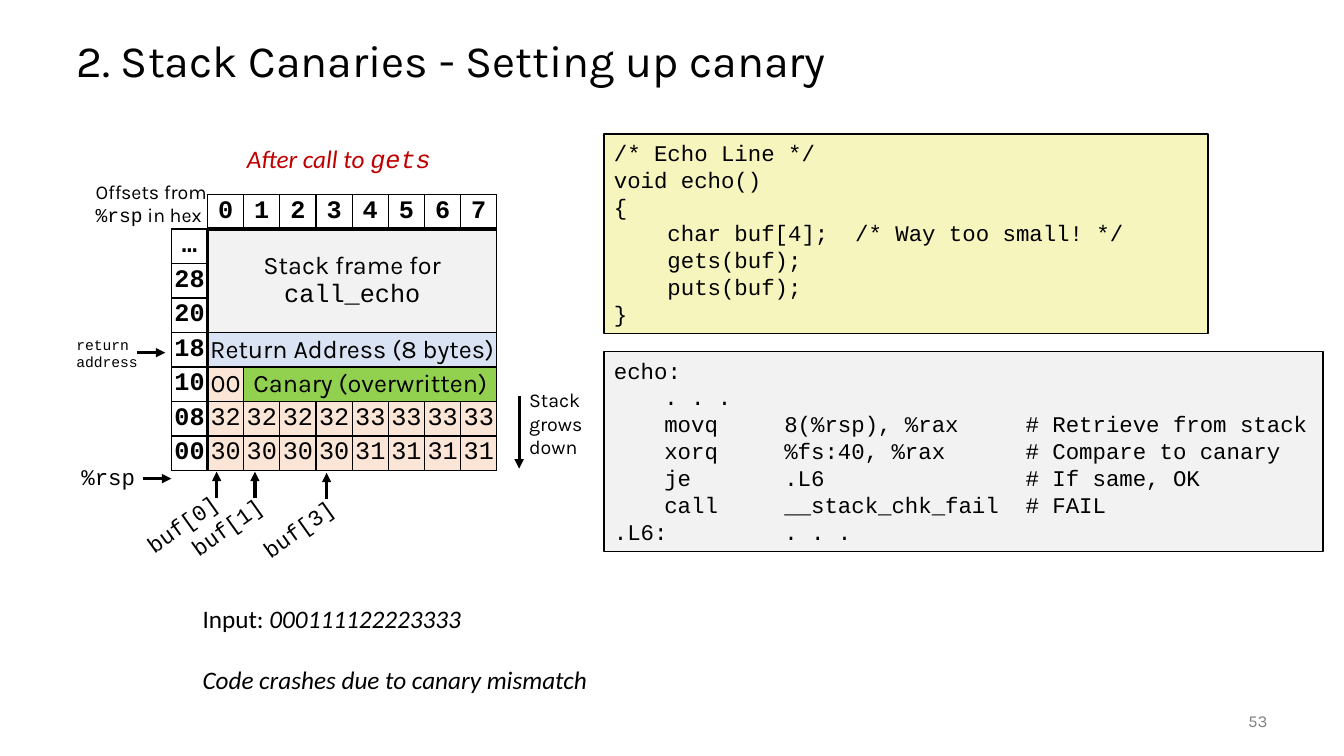
import pptx
import pptx.dml.color
import pptx.enum.shapes
import pptx.enum.text
import pptx.util
from lxml import etree
from pptx.oxml.ns import qn

SLIDE_W, SLIDE_H = 13.33, 7.5
STACK_LEFT, STACK_TOP, STACK_W, STACK_H = 1.7, 1.93, 3.23, 2.74
SANS, MONO, BODY = "Karla", "Courier New", "Calibri"
BLACK, GREY, RED = "000000", "808080", "C00000"
PALE, BLUE, GREEN, PEACH, YELLOW = "F2F2F2", "DAE3F3", "92D050", "FBE5D6", "F6F5BD"
TILT = 324.6

ECHO_C = """/* Echo Line */
void echo()
{
    char buf[4];  /* Way too small! */
    gets(buf);
    puts(buf);
}"""
ECHO_ASM = """echo:
\t. . .
\tmovq\t8(%rsp), %rax     # Retrieve from stack
\txorq\t%fs:40, %rax      # Compare to canary
\tje\t.L6               # If same, OK
\tcall\t__stack_chk_fail  # FAIL
.L6:\t. . ."""
ASM_TABS = (0.5, 1.69)

# Stack cells: text runs (text, font), fill, rows spanned, columns spanned
FRAME = ([("Stack frame for ", SANS), ("call_echo", MONO)], PALE, 3, 8)
RETURN = ([("Return Address (8 bytes)", SANS)], BLUE, 1, 8)
ZERO = ([("00", SANS)], PEACH, 1, 1)
CANARY = ([("Canary (overwritten)", SANS)], GREEN, 1, 7)


def input_bytes(values):
    return [([(value, MONO)], PEACH, 1, 1) for value in values.split()]


STACK_ROWS = [
    ("…", [FRAME]),
    ("28", []),
    ("20", []),
    ("18", [RETURN]),
    ("10", [ZERO, CANARY]),
    ("08", input_bytes("32 32 32 32 33 33 33 33")),
    ("00", input_bytes("30 30 30 30 31 31 31 31")),
]
BYTES = 8
COL, ROW = STACK_W / (BYTES + 1), STACK_H / (len(STACK_ROWS) + 1)

# Stack labels: left, top, width, height in stack columns and rows
LABELS = [
    ((-2.76, 7.65, 2.06, 1.08), [[("%rsp", MONO)]], 16, False, 0),
    ((-1.09, 8.99, 2.81, 1.08), [[("buf[0]", MONO)]], 16, False, TILT),
    ((0.14, 9.08, 2.81, 1.08), [[("buf[1]", MONO)]], 16, False, TILT),
    ((2.12, 9.14, 2.81, 1.08), [[("buf[3]", MONO)]], 16, False, TILT),
    ((-2.9, 3.94, 2.28, 1.31), [[("return", MONO)], [("address", MONO)]], 10.5, False, 0),
    ((-2.37, -0.58, 4.93, 1.66),
     [[("Offsets from ", SANS), ("%rsp", MONO), (" in hex", SANS)]], 14, True, 0),
    ((9.61, 5.46, 2.2, 2.36), [[("Stack grows down", SANS)]], 14, True, 0),
]
# Arrows: start and end in stack columns and rows
ARROWS = [
    (-0.78, 8.23, 0, 8.23),
    (-0.95, 4.58, -0.17, 4.58),
    (1.25, 8.79, 1.25, 8.03),
    (2.31, 8.79, 2.31, 8.03),
    (4.29, 8.82, 4.29, 8.06),
    (9.61, 5.84, 9.61, 7.94),
]


def color(value):
    return pptx.dml.color.RGBColor.from_string(value)


def share(left, top, width, height):
    """Place a box given in percent of the slide."""
    return [pptx.util.Inches(part * size / 100) for part, size in
            zip((left, top, width, height), (SLIDE_W, SLIDE_H) * 2)]


def point(column, row):
    return (pptx.util.Inches(STACK_LEFT + column * COL),
            pptx.util.Inches(STACK_TOP + row * ROW))


def grid(left, top, columns, rows):
    return *point(left, top), pptx.util.Inches(columns * COL), pptx.util.Inches(rows * ROW)


def write(frame, paragraphs, size, ink=BLACK, bold=False, align=None, tabs=()):
    """Fill a frame; each paragraph is a list of runs (text, font[, italic])."""
    for index, runs in enumerate(paragraphs):
        paragraph = frame.add_paragraph() if index else frame.paragraphs[0]
        paragraph.alignment = align or pptx.enum.text.PP_ALIGN.LEFT
        if tabs:
            stops = etree.SubElement(paragraph._p.get_or_add_pPr(), qn("a:tabLst"))
            for stop in tabs:
                etree.SubElement(stops, qn("a:tab"), pos=str(pptx.util.Inches(stop)), algn="l")
        for text, *_ in runs:
            paragraph.add_run().text = text
        holders = [paragraph] if len(runs) == 1 else paragraph.runs
        for holder, (_, name, *italic) in zip(holders, runs):
            font = holder.font
            font.name, font.size, font.bold = name, pptx.util.Pt(size), bold
            font.italic = bool(italic and italic[0])
            font.color.rgb = color(ink)


def add_text(slide, box, paragraphs, size, wrap=True, grow=True, **style):
    frame_box = slide.shapes.add_textbox(*box)
    frame = frame_box.text_frame
    frame.word_wrap = wrap
    if grow:
        frame.auto_size = pptx.enum.text.MSO_AUTO_SIZE.SHAPE_TO_FIT_TEXT
    else:
        frame.vertical_anchor = pptx.enum.text.MSO_ANCHOR.MIDDLE
    write(frame, paragraphs, size, **style)
    return frame_box


def add_code(slide, box, code, fill, tabs=()):
    panel = slide.shapes.add_shape(pptx.enum.shapes.MSO_SHAPE.RECTANGLE, *box)
    panel.shadow.inherit = False
    panel.fill.solid()
    panel.fill.fore_color.rgb = color(fill)
    panel.line.color.rgb = color(BLACK)
    panel.line.width = pptx.util.Pt(1)
    panel.text_frame.vertical_anchor = pptx.enum.text.MSO_ANCHOR.TOP
    write(panel.text_frame, [[(line, MONO)] for line in code.split("\n")], 16, tabs=tabs)


def add_arrow(slide, x1, y1, x2, y2):
    arrow = slide.shapes.add_connector(
        pptx.enum.shapes.MSO_CONNECTOR.STRAIGHT, *point(x1, y1), *point(x2, y2))
    arrow.line.color.rgb = color(BLACK)
    arrow.line.width = pptx.util.Pt(2.25)
    etree.SubElement(arrow.line._get_or_add_ln(), qn("a:tailEnd"), type="triangle")
    etree.SubElement(arrow._element.spPr, qn("a:effectLst"))


def set_borders(cell, row, column):
    """Heavy rules part the offsets from the bytes; the corner is open."""
    corner = row == column == 0
    widths = {
        "L": 0 if corner else 3 if column == 1 and row else 1,
        "R": 3 if column == 0 and row else 1,
        "T": 0 if corner else 3 if row == 1 and column else 1,
        "B": 3 if row == 0 and column else 1,
    }
    for side, width in widths.items():
        edge = etree.SubElement(cell._tc.get_or_add_tcPr(), qn("a:ln" + side),
                                w=str(pptx.util.Pt(width)))
        if width:
            ink = etree.SubElement(edge, qn("a:solidFill"))
            etree.SubElement(ink, qn("a:srgbClr"), val=BLACK)
        else:
            etree.SubElement(edge, qn("a:noFill"))


def fill_cell(cell, runs, fill=None, bold=False):
    if fill:
        cell.fill.solid()
        cell.fill.fore_color.rgb = color(fill)
    write(cell.text_frame, [runs], 18, bold=bold, align=pptx.enum.text.PP_ALIGN.CENTER)


def add_stack(slide):
    rows, columns = len(STACK_ROWS) + 1, BYTES + 1
    stack = slide.shapes.add_table(rows, columns, *grid(0, 0, columns, rows)).table
    stack.first_row = stack.horz_banding = False
    for row in range(rows):
        for column in range(columns):
            cell = stack.cell(row, column)
            cell.margin_left = cell.margin_right = cell.margin_top = cell.margin_bottom = 0
            cell.vertical_anchor = pptx.enum.text.MSO_ANCHOR.MIDDLE
            set_borders(cell, row, column)
            cell.fill.background()
    for byte in range(BYTES):
        fill_cell(stack.cell(0, byte + 1), [(str(byte), MONO)], bold=True)
    for row, (offset, contents) in enumerate(STACK_ROWS, 1):
        fill_cell(stack.cell(row, 0), [(offset, MONO)], bold=True)
        column = 1
        for runs, fill, tall, wide in contents:
            cell = stack.cell(row, column)
            if tall * wide > 1:
                cell.merge(stack.cell(row + tall - 1, column + wide - 1))
            fill_cell(cell, runs, fill)
            column += wide


def main():
    deck = pptx.Presentation()
    deck.slide_width, deck.slide_height = pptx.util.Inches(SLIDE_W), pptx.util.Inches(SLIDE_H)
    slide = deck.slides.add_slide(deck.slide_layouts[6])
    title = add_text(slide, share(4.95, 3.33, 90.02, 10),
                     [[("2. Stack Canaries - Setting up canary", SANS)]], 32, grow=False)
    title.text_frame.paragraphs[0].line_spacing = 0.9
    add_text(slide, share(87.55, 92.67, 7.5, 5.33), [[("53", SANS)]], 12, grow=False,
             ink=GREY, align=pptx.enum.text.PP_ALIGN.RIGHT)
    add_code(slide, share(44.94, 17.73, 44.94, 26.4), ECHO_C, YELLOW)
    add_code(slide, share(44.94, 46.53, 53.49, 26.4), ECHO_ASM, PALE, ASM_TABS)
    add_text(slide, share(17.63, 18.27, 15.68, 5.33),
             [[("After call to ", BODY, True), ("gets", MONO, True)]], 18, wrap=False, ink=RED)
    add_stack(slide)
    for box, paragraphs, size, wrap, angle in LABELS:
        add_text(slide, grid(*box), paragraphs, size, wrap=wrap).rotation = angle
    for ends in ARROWS:
        add_arrow(slide, *ends)
    outcome = add_text(slide, share(14.33, 79.2, 30.46, 13.47),
                       [[("Input: ", BODY), ("000111122223333", BODY, True)],
                        [("Code crashes due to canary mismatch", BODY, True)]], 18, wrap=False)
    outcome.text_frame.paragraphs[1].space_before = pptx.util.Pt(22)
    deck.save("out.pptx")


if __name__ == "__main__":
    main()
